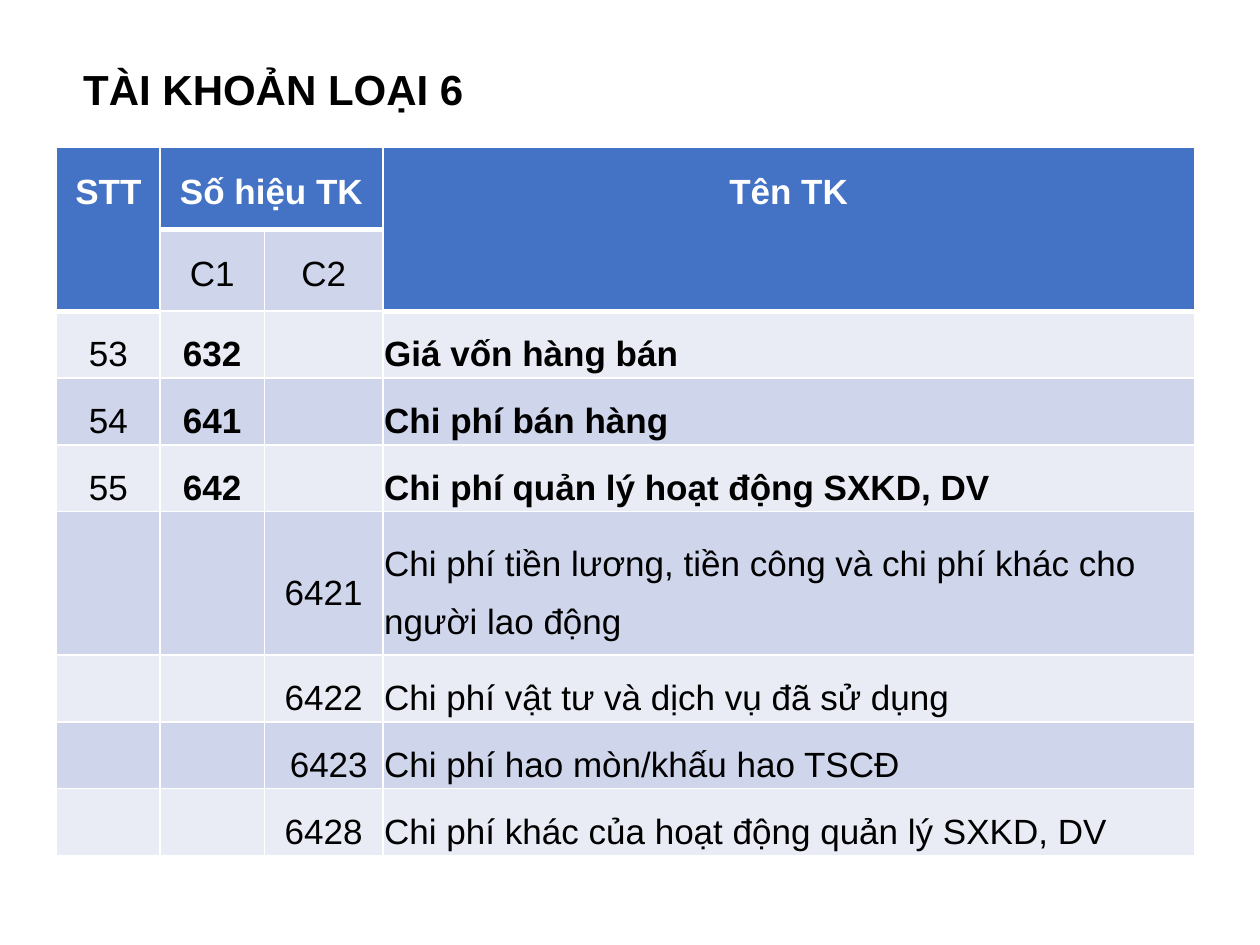
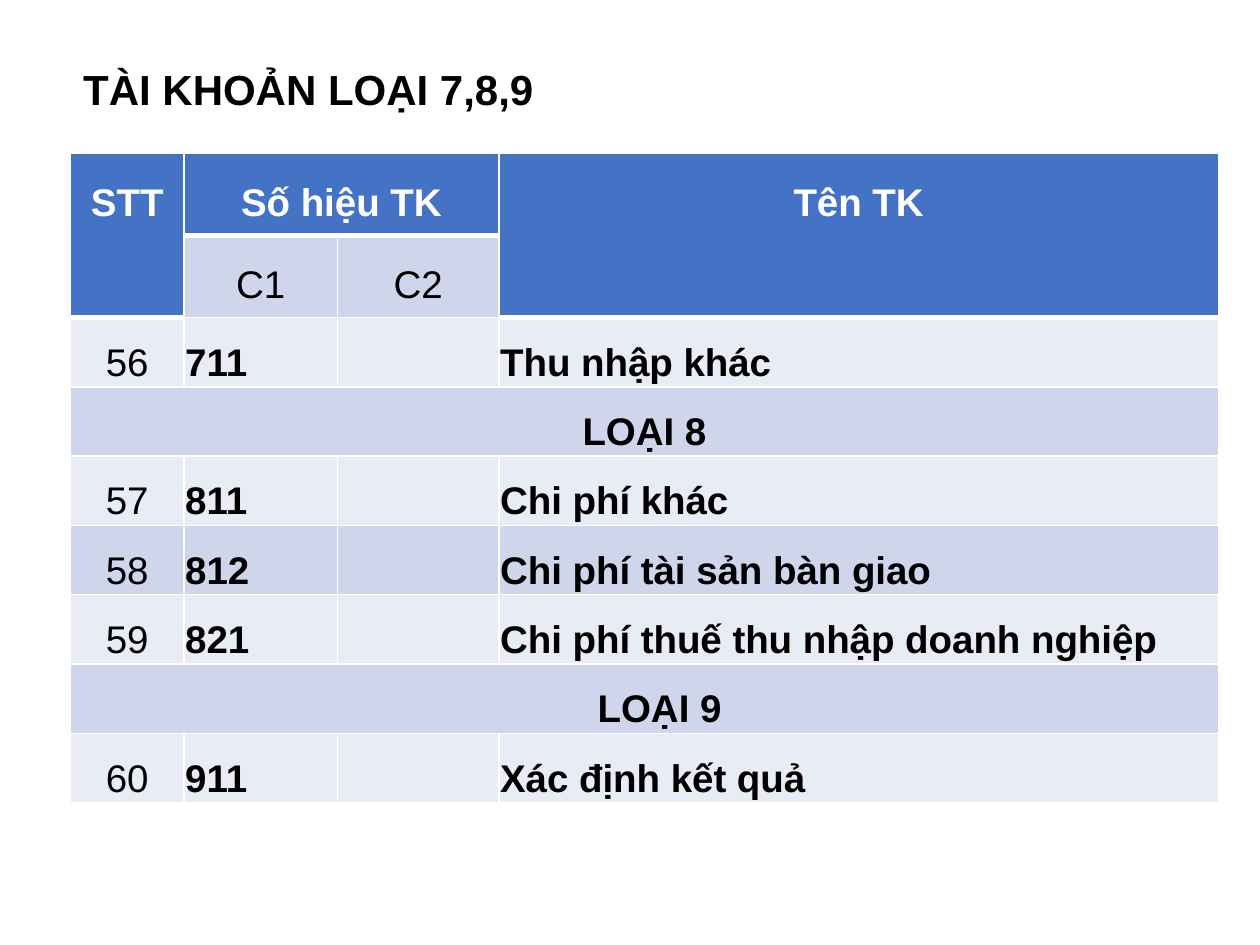
from lxml import etree
from pptx import Presentation
from pptx.dml.color import RGBColor
from pptx.enum.text import MSO_ANCHOR, MSO_AUTO_SIZE, PP_ALIGN
from pptx.oxml.ns import qn
from pptx.util import Inches, Pt

FONT = "Arial"
BLACK = RGBColor(0x00, 0x00, 0x00)
WHITE = RGBColor(0xFF, 0xFF, 0xFF)
HEADER_BLUE = RGBColor(0x44, 0x72, 0xC4)
BAND_DARK = RGBColor(0xCF, 0xD5, 0xEA)
BAND_LIGHT = RGBColor(0xE9, 0xEB, 0xF5)

HEADER_ROWS = [("STT", "Số hiệu TK", "", "Tên TK"), ("", "C1", "C2", "")]
HEADER_MERGES = [((0, 0), (1, 0)), ((0, 1), (0, 2)), ((0, 3), (1, 3))]
HEADER_HEIGHT = 0.65

SLIDES = [
    {
        "title": "TÀI KHOẢN LOẠI 6",
        "title_width": 3.3,
        "position": (0.45, 1.17),
        "columns": (0.82, 0.83, 0.94, 6.44),
        "row_height": 0.53,
        "tall_rows": {"6421": 1.14},
        "size": 20,
        "code_align": PP_ALIGN.CENTER,
        "indents": {"6423": 0.09},
        "accounts": [
            ("53", "632", "", "Giá vốn hàng bán"),
            ("54", "641", "", "Chi phí bán hàng"),
            ("55", "642", "", "Chi phí quản lý hoạt động SXKD, DV"),
            ("", "", "6421", "Chi phí tiền lương, tiền công và chi phí khác cho người lao động"),
            ("", "", "6422", "Chi phí vật tư và dịch vụ đã sử dụng"),
            ("", "", "6423", "Chi phí hao mòn/khấu hao TSCĐ"),
            ("", "", "6428", "Chi phí khác của hoạt động quản lý SXKD, DV"),
        ],
    },
    {
        "title": "TÀI KHOẢN LOẠI 7,8,9",
        "title_width": 3.9,
        "position": (0.56, 1.22),
        "columns": (0.9, 1.22, 1.28, 5.71),
        "row_height": 0.55,
        "tall_rows": {},
        "size": 22,
        "code_align": PP_ALIGN.LEFT,
        "indents": {"LOẠI 9": 0.25},
        "accounts": [
            ("56", "711", "", "Thu nhập khác"),
            ("LOẠI 8", "", "", ""),
            ("57", "811", "", "Chi phí khác"),
            ("58", "812", "", "Chi phí tài sản bàn giao"),
            ("59", "821", "", "Chi phí thuế thu nhập doanh nghiệp"),
            ("LOẠI 9", "", "", ""),
            ("60", "911", "", "Xác định kết quả"),
        ],
    },
]


def format_font(paragraph, size, color, bold):
    for run in paragraph.runs:
        run.font.name = FONT
        run.font.size = Pt(size)
        run.font.color.rgb = color
        run.font.bold = bold


def set_borders(cell, bottom_width):
    properties = cell._tc.get_or_add_tcPr()
    for side, width in (("L", 1), ("R", 1), ("T", 1), ("B", bottom_width)):
        line = etree.SubElement(properties, qn(f"a:ln{side}"), w=str(Pt(width)))
        fill = etree.SubElement(line, qn("a:solidFill"))
        etree.SubElement(fill, qn("a:srgbClr"), val=str(WHITE))


def write_cell(cell, text, size, color, bold, align):
    paragraph = cell.text_frame.paragraphs[0]
    paragraph.text = text
    paragraph.alignment = align
    paragraph.line_spacing = 1.5
    format_font(paragraph, size, color, bold)


def add_title(slide, content):
    title = slide.shapes.title
    title.left, title.top = Inches(0.56), Inches(0.45)
    title.width, title.height = Inches(content["title_width"]), Inches(0.5)
    text_frame = title.text_frame
    text_frame.text = content["title"]
    text_frame.word_wrap = False
    text_frame.auto_size = MSO_AUTO_SIZE.NONE
    text_frame.vertical_anchor = MSO_ANCHOR.TOP
    paragraph = text_frame.paragraphs[0]
    paragraph.alignment = PP_ALIGN.LEFT
    format_font(paragraph, 24, BLACK, True)


def fill_header(table, size):
    for row, labels in enumerate(HEADER_ROWS):
        for column, label in enumerate(labels):
            cell = table.cell(row, column)
            main = row == 0 or not label
            set_borders(cell, 3 if main else 1)
            cell.fill.solid()
            cell.fill.fore_color.rgb = HEADER_BLUE if main else BAND_DARK
            if label:
                write_cell(cell, label, size, WHITE if main else BLACK, main, PP_ALIGN.CENTER)
    for first, last in HEADER_MERGES:
        table.cell(*first).merge(table.cell(*last))


def fill_account(table, row, account, content):
    is_section = not any(account[1:])
    aligns = (PP_ALIGN.CENTER, content["code_align"], PP_ALIGN.CENTER, PP_ALIGN.LEFT)
    for column, text in enumerate(account):
        cell = table.cell(row, column)
        set_borders(cell, 1)
        cell.fill.solid()
        cell.fill.fore_color.rgb = BAND_DARK if row % 2 else BAND_LIGHT
        cell.vertical_anchor = MSO_ANCHOR.MIDDLE
        cell.margin_left = Inches(content["indents"].get(text, 0.01))
        cell.margin_right = Inches(0.01)
        cell.margin_top = cell.margin_bottom = 0
        if text:
            bold = is_section or (column > 0 and account[1] != "")
            write_cell(cell, text, content["size"], BLACK, bold, aligns[column])
    if is_section:
        table.cell(row, 0).merge(table.cell(row, len(account) - 1))


def add_account_table(slide, content):
    accounts, columns = content["accounts"], content["columns"]
    heights = [HEADER_HEIGHT] * len(HEADER_ROWS) + [
        content["tall_rows"].get(account[2], content["row_height"]) for account in accounts
    ]
    left, top = content["position"]
    table = slide.shapes.add_table(
        len(heights), len(columns), Inches(left), Inches(top),
        Inches(sum(columns)), Inches(sum(heights)),
    ).table
    for column, width in zip(table.columns, columns):
        column.width = Inches(width)
    for row, height in zip(table.rows, heights):
        row.height = Inches(height)
    fill_header(table, content["size"])
    for row, account in enumerate(accounts, len(HEADER_ROWS)):
        fill_account(table, row, account, content)


def main():
    presentation = Presentation()
    presentation.slide_width, presentation.slide_height = Inches(10), Inches(7.5)
    title_only = presentation.slide_layouts[5]
    for content in SLIDES:
        slide = presentation.slides.add_slide(title_only)
        add_title(slide, content)
        add_account_table(slide, content)
    presentation.save("out.pptx")


if __name__ == "__main__":
    main()
